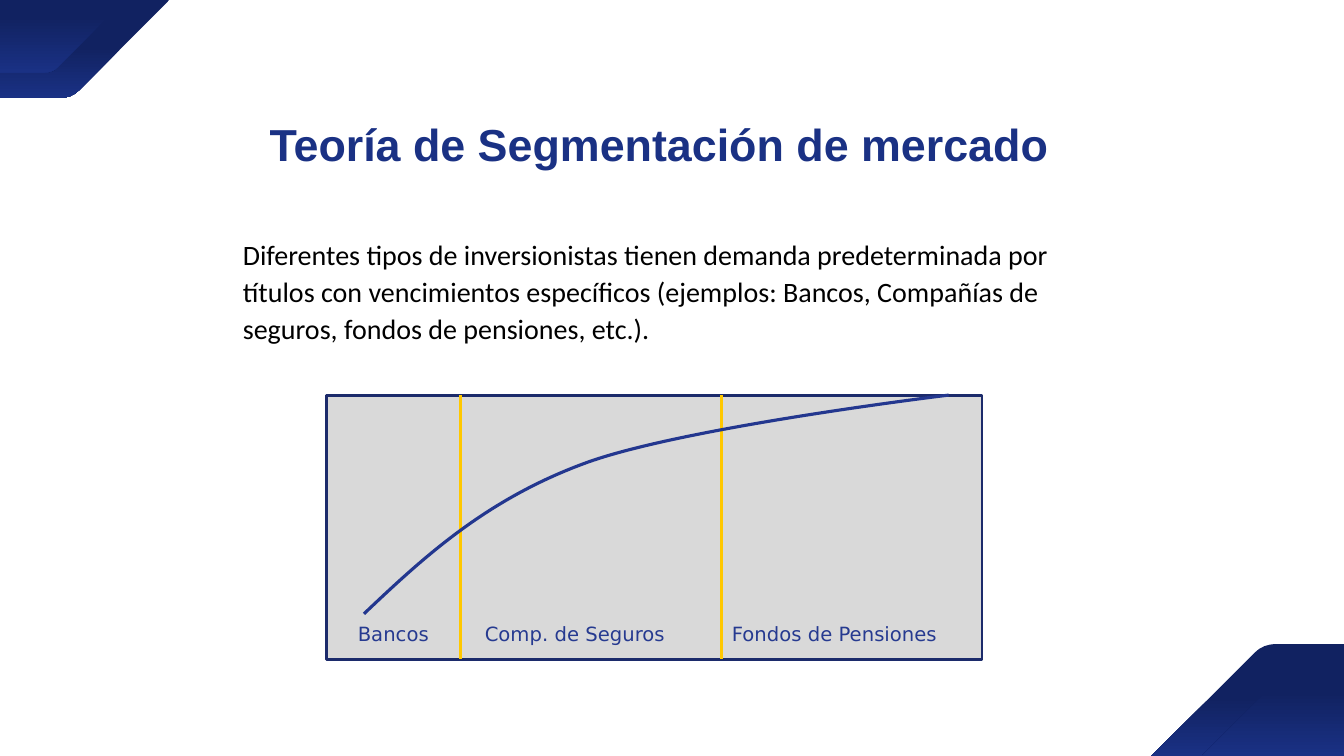
from lxml.etree import SubElement
from pptx import Presentation
from pptx.dml.color import RGBColor
from pptx.enum.shapes import MSO_CONNECTOR as CONN, MSO_SHAPE as SHAPE
from pptx.enum.text import MSO_ANCHOR as ANCHOR, MSO_AUTO_SIZE as AUTO, PP_ALIGN as ALIGN
from pptx.oxml.ns import qn
from pptx.util import Pt

PX = 9144  # EMU per px, 100 px to the inch
SLIDE_W, SLIDE_H = 1333, 750
COLORS = {
    "navy": "112261", "blue": "1A3184", "black": "000000", "panel": "D9D9D9",
    "border": "1C2B6B", "divider": "FFC800", "curve": "23378F", "label": "263A90",
}


def px(n):
    return round(n * PX)


def color(name):
    return RGBColor.from_string(COLORS[name])


def set_line(sp, name, width):
    sp.line.color.rgb = color(name)
    sp.line.width = Pt(width)


def add_path(shapes, points, curve_starts, close):
    """Add an outline; a cubic curve leaves each point whose index is in curve_starts."""
    emu = [(px(x), px(y)) for x, y in points]
    builder = shapes.build_freeform(*emu[0], scale=1.0)
    builder.add_line_segments(emu[1:], close=close)
    sp = builder.convert_to_shape()
    sp.shadow.inherit = False
    segments = list(sp._element.iter(qn("a:lnTo")))
    for start in curve_starts:
        first, *others = segments[start:start + 3]
        first.tag = qn("a:cubicBezTo")
        for segment in others:
            first.append(segment[0])
            segment.getparent().remove(segment)
    return sp


def add_corner(shapes, w, h, dark_stop, at_bottom):
    """Add a slanted corner piece with one rounded bend; at_bottom turns it by 180°."""
    bend = 0.075 * h
    end_x, end_y = w - h + bend, h - bend
    flat_x = end_x - 2.5 * bend
    points = [(0, h), (flat_x, h), (flat_x + bend, h),
              (end_x - 0.7 * bend, end_y + 0.7 * bend), (end_x, end_y), (w, 0), (0, 0)]
    if at_bottom:
        points = [(SLIDE_W - x, SLIDE_H - y) for x, y in points]
    sp = add_path(shapes, points, [1], close=True)
    sp.line.fill.background()
    sp.fill.gradient()
    sp.fill.gradient_angle = 270
    stops = ((dark_stop, "navy"), (1, "blue"))
    for stop, (position, name) in zip(sp.fill.gradient_stops, stops):
        stop.position = position
        stop.color.rgb = color(name)


def add_corner_pair(shapes, outer, inner, at_bottom=False):
    group = shapes.add_group_shape().shapes
    add_corner(group, *outer, 0.48, at_bottom)
    add_corner(group, *inner, 0.23, at_bottom)


def add_text(shapes, box, text, font, size, name, wrap=True):
    sp = shapes.add_textbox(*map(px, box))
    tf = sp.text_frame
    tf.word_wrap = wrap
    tf.auto_size = AUTO.SHAPE_TO_FIT_TEXT
    tf.text = text
    r = tf.paragraphs[0].runs[0]
    r.font.name, r.font.size = font, Pt(size)
    r.font.color.rgb = color(name)
    return tf


def add_title(shapes):
    tf = add_text(shapes, (172, 110, 964, 64), "Teoría de Segmentación de mercado",
                  "Arial", 32, "blue")
    tf.margin_left = tf.margin_right = px(7)
    tf.vertical_anchor = ANCHOR.MIDDLE
    p = tf.paragraphs[0]
    p.alignment = ALIGN.CENTER
    p.runs[0].font.bold = True


def add_body(shapes):
    tf = add_text(
        shapes, (231, 227, 848, 121),
        "Diferentes tipos de inversionistas tienen demanda predeterminada por títulos con "
        "vencimientos específicos (ejemplos: Bancos, Compañías de seguros, fondos de "
        "pensiones, etc.).", "Calibri", 20, "black")
    p = tf.paragraphs[0]
    p.line_spacing = 1.1
    p.space_after = Pt(10.8)


def add_divider(shapes, x, top, bottom):
    cx = shapes.add_connector(CONN.STRAIGHT, px(x), px(top), px(x), px(bottom))
    set_line(cx, "divider", 2)
    SubElement(cx._element.spPr, qn("a:effectLst"))


def add_yield_diagram(shapes):
    group = shapes.add_group_shape().shapes
    left, top, width, height = 324, 392, 650, 262
    panel = group.add_shape(SHAPE.RECTANGLE, *map(px, (left, top, width, height)))
    panel.shadow.inherit = False
    panel.fill.solid()
    panel.fill.fore_color.rgb = color("panel")
    set_line(panel, "border", 2)

    for x in (457, 716):
        add_divider(group, x, top, top + height)

    start, middle, end = (361, 609), (579, 460), (941, top)
    points = [start, (421, 552), (482, 496), middle, (675, 424), end, end]
    curve = add_path(group, points, [0, 3], close=False)
    curve.fill.background()
    set_line(curve, "curve", 2.25)

    for x, w, text, wrap in ((345, 101, "Bancos", False),
                             (716, 269, "Fondos de Pensiones", True),
                             (471, 226, "Comp. de Seguros", False)):
        add_text(group, (x, 612, w, 39), text, "DejaVu Sans", 14, "label", wrap)


def main():
    prs = Presentation()
    prs.slide_width, prs.slide_height = px(SLIDE_W), px(SLIDE_H)
    shapes = prs.slides.add_slide(prs.slide_layouts[6]).shapes
    add_corner_pair(shapes, (191, 111), (141, 82), at_bottom=True)
    add_title(shapes)
    add_corner_pair(shapes, (168, 97), (124, 72))
    add_body(shapes)
    add_yield_diagram(shapes)
    prs.save("out.pptx")


if __name__ == "__main__":
    main()
